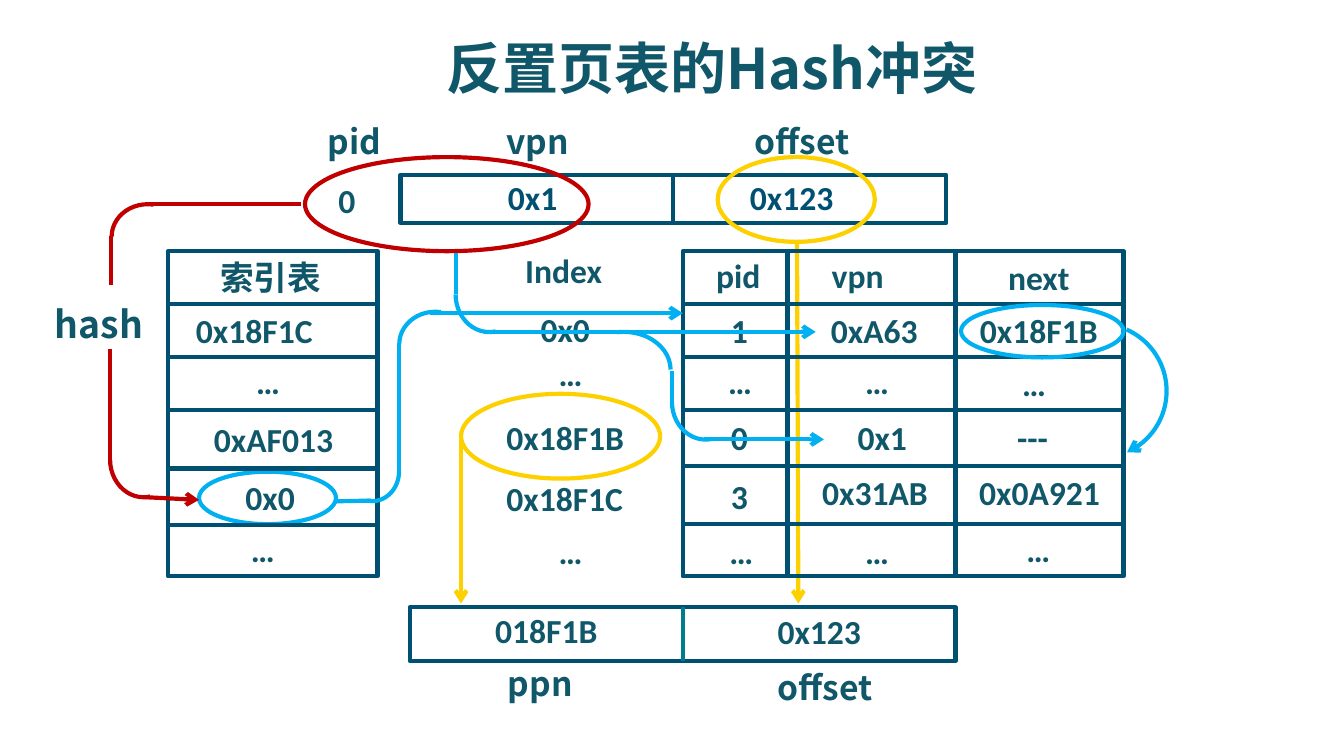
from lxml import etree
from pptx import Presentation
from pptx.dml.color import RGBColor
from pptx.enum.shapes import MSO_CONNECTOR, MSO_SHAPE
from pptx.enum.text import MSO_AUTO_SIZE, PP_ALIGN
from pptx.oxml.ns import qn
from pptx.util import Pt

RECT, OVAL, ARC = MSO_SHAPE.RECTANGLE, MSO_SHAPE.OVAL, MSO_SHAPE.ARC
STRAIGHT = MSO_CONNECTOR.STRAIGHT
LEFT, MID = PP_ALIGN.LEFT, PP_ALIGN.CENTER
GROW = MSO_AUTO_SIZE.SHAPE_TO_FIT_TEXT
LATIN, HAN = "Calibri", "Noto Sans CJK SC"
HUES = {"text": "11576A", "navy": "005072", "teal": "007C8B",
        "red": "C00000", "gold": "FDD000", "blue": "00B0F0"}


class Board:
    def __init__(self, slide):
        self.slide = slide
        self.width = Pt(2.25)

    def stroke(self, item, hue, arrow=False):
        item.line.color.rgb = RGBColor.from_string(HUES[hue])
        item.line.width = self.width
        if arrow:
            ln = item.element.spPr.find(qn("a:ln"))
            etree.SubElement(ln, qn("a:tailEnd"), type="arrow")

    def shape(self, kind, x, y, w, h, hue="navy", arrow=False):
        item = self.slide.shapes.add_shape(kind, Pt(x), Pt(y), Pt(w), Pt(h))
        item.shadow.inherit = False
        item.fill.background()
        self.stroke(item, hue, arrow)
        return item

    def line(self, x1, y1, x2, y2, hue="navy", arrow=False):
        item = self.slide.shapes.add_connector(
            STRAIGHT, Pt(x1), Pt(y1), Pt(x2), Pt(y2))
        self.stroke(item, hue, arrow)
        etree.SubElement(item.element.spPr, qn("a:effectLst"))

    def arc(self, x, y, rx, ry, start, end, hue="blue", arrow=False):
        """Draw clockwise around centre x, y; angles are in degrees."""
        item = self.shape(ARC, x - rx, y - ry, 2 * rx, 2 * ry, hue, arrow)
        # Arc angles are stored in 60000ths, adjustments in 100000ths.
        item.adjustments[0] = start * 0.6
        item.adjustments[1] = end * 0.6
        return item

    def text(self, words, x, y, w, align=LEFT, font=LATIN, size=18,
             hue="text", h=28.8, gap=None):
        box = self.slide.shapes.add_textbox(Pt(x), Pt(y), Pt(w), Pt(h))
        frame = box.text_frame
        frame.word_wrap = True
        frame.auto_size = GROW
        para = frame.paragraphs[0]
        para.alignment = align
        if gap:
            para.line_spacing = gap
        run = para.add_run()
        run.text = words
        run.font.size = Pt(size)
        run.font.bold = True
        run.font.color.rgb = RGBColor.from_string(HUES[hue])
        run.font.name = font
        etree.SubElement(run.font._element, qn("a:ea"), typeface=font)

    def texts(self, rows, **style):
        for row in rows:
            self.text(*row, **style)

    def column(self, x, w, rules):
        self.shape(RECT, x, 134.6, w, 174.2)
        for y in rules:
            self.line(x, y, x + w, y)


def address(board):
    board.shape(RECT, 214.6, 93.6, 292.3, 25.9)
    board.line(360.7, 94.3, 360.7, 120.2)
    board.texts([("0x1", 265, 91.4, 90), ("0x123", 394.6, 91.4, 73.4)],
                hue="navy")
    board.text("0", 174.2, 92.9, 24.5)
    board.texts([("pid", 168.5, 61.2, 73.4), ("vpn", 264.2, 61.2, 84.2),
                 ("offset", 397.4, 61.2, 84.2)], font=HAN)
    board.text("反置页表的Hash冲突", 193, 17.3, 376.6, MID, HAN, 30,
               h=41.8, gap=0.95)


def result(board):
    board.shape(RECT, 219.6, 325.4, 292.3, 28.8)
    board.line(365.8, 325.4, 365.8, 354.2, "teal")
    board.texts([("018F1B", 219.6, 323.3, 146.2),
                 ("0x123", 365.8, 324, 146.2)], align=MID)
    board.texts([("ppn", 258.5, 351.4, 61.9),
                 ("offset", 405.4, 353.5, 73.4)], align=MID, font=HAN)


def marks(board):
    board.shape(OVAL, 163.4, 84.2, 151.9, 50.4, "red")
    board.shape(OVAL, 247, 211, 106.6, 45.4, "gold")
    board.line(247, 233.3, 247, 323.3, "gold", True)
    board.shape(OVAL, 106.6, 252.7, 73.4, 28.1, "blue")
    board.line(427, 129.6, 427.7, 323.3, "gold", True)


def tables(board):
    board.text("索引表", 110.9, 133.9, 112.3, font=HAN)
    board.text("0x18F1C", 97.9, 162.7, 90)
    board.texts([("…", 101.5, 190.1, 84.2), ("0xAF013", 95.8, 221, 101.5),
                 ("0x0", 116.6, 252, 56.2), ("…", 95.8, 280.1, 90)],
                align=MID)
    board.column(90, 112.3, [163.1, 191.2, 219.6, 251, 281.2])

    board.texts([("pid", 376.6, 133.2, 78.5), ("1", 384.5, 162.7, 56.2),
                 ("vpn", 438.5, 133.2, 56.2), ("Index", 274.3, 130.3, 67.7),
                 ("0x18F1B", 264.2, 219.6, 106.6),
                 ("0x18F1C", 264.2, 252.7, 106.6),
                 ("0", 384.5, 219.6, 33.8), ("3", 384.5, 251.3, 16.6),
                 ("---", 537.8, 219.6, 39.6),
                 ("0x31AB", 433.4, 249.1, 86.4)])
    board.texts([("next", 519.8, 133.9, 73.4), ("0x0", 257.8, 162, 90),
                 ("0xA63", 427.7, 162.7, 81.4),
                 ("0x18F1B", 500.4, 162.7, 112.3),
                 ("0x1", 433.4, 219.6, 78.5),
                 ("0x0A921", 511.9, 249.1, 90)], align=MID)
    dots = [(376.6, 190.1), (450, 190.1), (534.2, 190.8), (377.3, 280.8),
            (450, 280.8), (536.4, 280.1), (285.8, 185.8), (285.8, 280.8)]
    board.texts([("…", x, y, 39.6) for x, y in dots], align=MID)
    for x, w in [(511.9, 90), (421.9, 90), (365.8, 56.2)]:
        board.column(x, w, [163.1, 191.2, 219.6, 249.8, 280.8])


def routes(board):
    loop = board.arc(589, 209.5, 36, 36, 270, 41.87, arrow=True)
    loop.rotation = 23.8
    board.shape(OVAL, 514.8, 163.4, 87.1, 28.1, "blue")
    board.shape(OVAL, 384.5, 84.2, 84.2, 45.4, "gold")
    board.line(331.2, 177.8, 437, 177.8, "blue", True)

    board.text("hash", 22.3, 157.7, 61.9, font=HAN, size=20, h=31.7)
    board.line(161.3, 109.4, 80.6, 109.4, "red")
    board.line(59.4, 126.7, 59.4, 152.6, "red")
    board.arc(77, 246.2, 18, 20.2, 80, 180, "red")
    board.arc(79.2, 126.7, 19.4, 17.3, 180, 280, "red")
    board.line(59, 187.2, 59, 247, "red")
    board.line(77.8, 266.4, 106.6, 267.8, "red", True)

    board.line(213.8, 184.3, 213.8, 252.7, "blue")
    board.line(198.7, 268.2, 179.3, 268.6, "blue")
    board.line(230.4, 167.8, 365.8, 167.8, "blue", True)
    board.arc(233.3, 184.3, 19.4, 17.3, 180, 280)
    board.arc(199.4, 252.7, 14.4, 15.8, 0, 100)

    board.line(244.1, 135.4, 244.1, 157.7, "blue")
    board.arc(262.1, 157.7, 18, 20.2, 80, 180)
    board.line(263.5, 177.8, 331.9, 177.8, "blue")

    board.line(360, 215.3, 360, 198.7, "blue")
    board.line(377.3, 235.4, 441.4, 235.4, "blue", True)
    board.arc(378, 215.3, 18, 20.2, 80, 180)
    board.arc(334.1, 198, 25.2, 20.2, 260, 360)


def main():
    deck = Presentation()
    deck.slide_width, deck.slide_height = Pt(720), Pt(405)
    board = Board(deck.slides.add_slide(deck.slide_layouts[6]))
    for part in (address, result, marks, tables, routes):
        part(board)
    deck.save("out.pptx")


if __name__ == "__main__":
    main()
